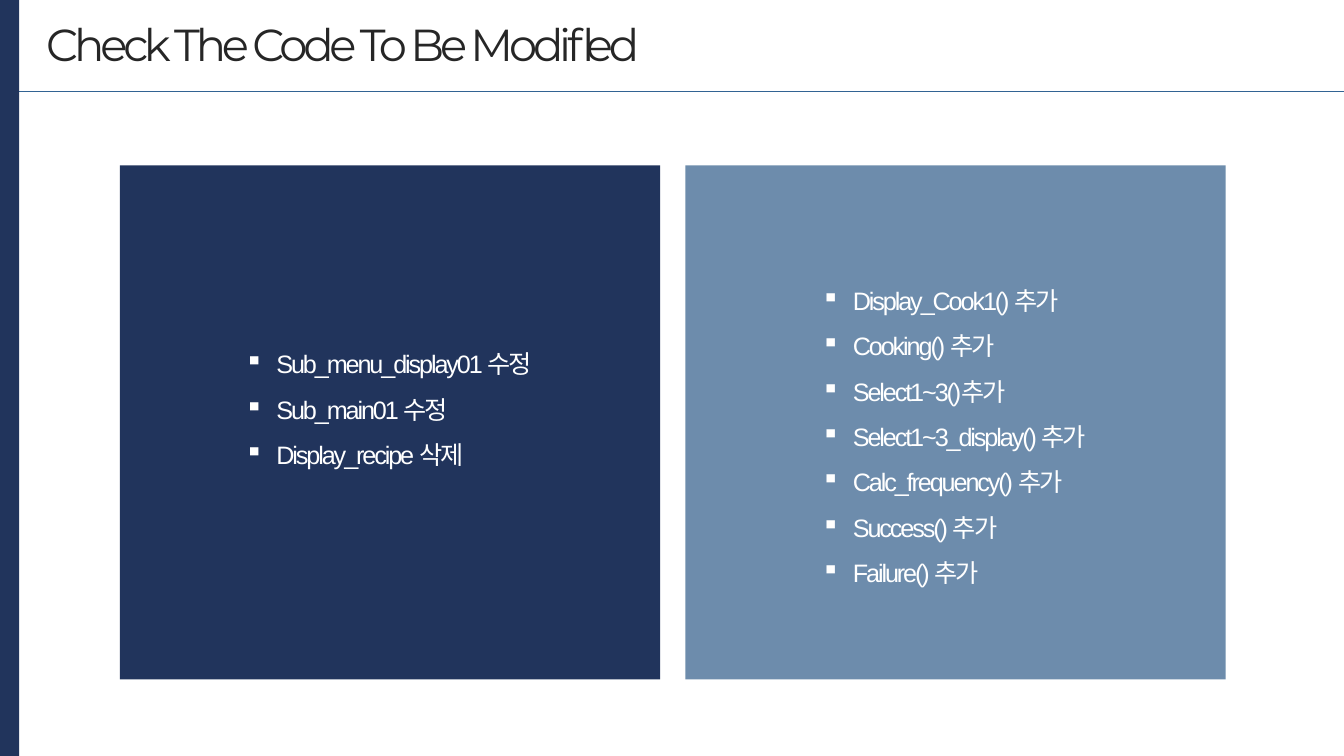
"""Build the slide that lists which code has to be modified."""
import pptx
import pptx.dml.color
import pptx.enum.shapes
import pptx.enum.text
import pptx.oxml.ns
import pptx.util
from lxml import etree

Pt = pptx.util.Pt
RGBColor = pptx.dml.color.RGBColor
NAVY = RGBColor(0x21, 0x34, 0x5C)
STEEL = RGBColor(0x6D, 0x8C, 0xAC)
RULE_BLUE = RGBColor(0x32, 0x63, 0x93)
CHARCOAL = RGBColor(0x26, 0x26, 0x26)
WHITE = RGBColor(0xFF, 0xFF, 0xFF)

SLIDE_WIDTH, SLIDE_HEIGHT = 960, 540
BAR_WIDTH = 13.7
RULE_TOP = 65.5
PANEL_TOP, PANEL_WIDTH, PANEL_HEIGHT = 118.1, 385.9, 367.2

CHANGES = ["Sub_menu_display01 수정", "Sub_main01 수정", "Display_recipe 삭제"]
ADDITIONS = [
    "Display_Cook1() 추가",
    "Cooking() 추가",
    "Select1~3()추가",
    "Select1~3_display() 추가",
    "Calc_frequency() 추가",
    "Success() 추가",
    "Failure() 추가",
]


class SlideBuilder:
    title_font = "Montserrat"
    body_font = "Arial"
    title_size, body_size = 32, 18
    title_spacing, body_spacing = -3, -1.5
    bullet_indent = 22.5

    def __init__(self, slide):
        self.slide = slide

    def rectangle(self, left, top, width, height, color):
        shape = self.slide.shapes.add_shape(
            pptx.enum.shapes.MSO_SHAPE.RECTANGLE,
            Pt(left), Pt(top), Pt(width), Pt(height))
        shape.shadow.inherit = False
        shape.fill.solid()
        shape.fill.fore_color.rgb = color
        shape.line.fill.background()

    def rule(self, left, right, top):
        connector = self.slide.shapes.add_connector(
            pptx.enum.shapes.MSO_CONNECTOR.STRAIGHT,
            Pt(left), Pt(top), Pt(right), Pt(top))
        connector.line.color.rgb = RULE_BLUE
        connector.line.width = Pt(0.5)
        properties = connector.element.spPr
        etree.SubElement(properties, pptx.oxml.ns.qn("a:effectLst"))

    def text_frame(self, left, top, width, height):
        box = self.slide.shapes.add_textbox(
            Pt(left), Pt(top), Pt(width), Pt(height))
        box.text_frame.word_wrap = False
        box.text_frame.auto_size = pptx.enum.text.MSO_AUTO_SIZE.SHAPE_TO_FIT_TEXT
        return box.text_frame

    def run(self, paragraph, text, font, size, color, spacing):
        run = paragraph.add_run()
        run.text = text
        run.font.name = font
        run.font.size = Pt(size)
        run.font.color.rgb = color
        run.font._element.set("spc", str(int(spacing * 100)))

    def title(self, text, left, top, width, height):
        paragraph = self.text_frame(left, top, width, height).paragraphs[0]
        self.run(paragraph, text, self.title_font, self.title_size,
                 CHARCOAL, self.title_spacing)

    def bullet(self, paragraph):
        properties = paragraph._p.get_or_add_pPr()
        properties.set("marL", str(Pt(self.bullet_indent)))
        properties.set("indent", str(Pt(-self.bullet_indent)))
        character = etree.SubElement(properties, pptx.oxml.ns.qn("a:buChar"))
        character.set("char", "▪")

    def bullet_list(self, items, left, top, width, height):
        frame = self.text_frame(left, top, width, height)
        for index, item in enumerate(items):
            paragraph = frame.add_paragraph() if index else frame.paragraphs[0]
            paragraph.line_spacing = 1.5
            self.bullet(paragraph)
            self.run(paragraph, item, self.body_font, self.body_size,
                     WHITE, self.body_spacing)


def main():
    presentation = pptx.Presentation()
    presentation.slide_width = Pt(SLIDE_WIDTH)
    presentation.slide_height = Pt(SLIDE_HEIGHT)
    slide = presentation.slides.add_slide(presentation.slide_layouts[6])
    builder = SlideBuilder(slide)

    builder.rule(BAR_WIDTH, SLIDE_WIDTH, RULE_TOP)
    builder.rectangle(0, 0, BAR_WIDTH, SLIDE_HEIGHT, NAVY)
    builder.title("Check The Code To Be Modifled", 25.9, 8.6, 488.9, 46.1)
    for left, color in ((85.7, NAVY), (489.6, STEEL)):
        builder.rectangle(left, PANEL_TOP, PANEL_WIDTH, PANEL_HEIGHT, color)
    builder.bullet_list(CHANGES, 167.8, 234.7, 221.8, 133.9)
    builder.bullet_list(ADDITIONS, 579.6, 189.4, 205.2, 265)

    presentation.save("out.pptx")


if __name__ == "__main__":
    main()
